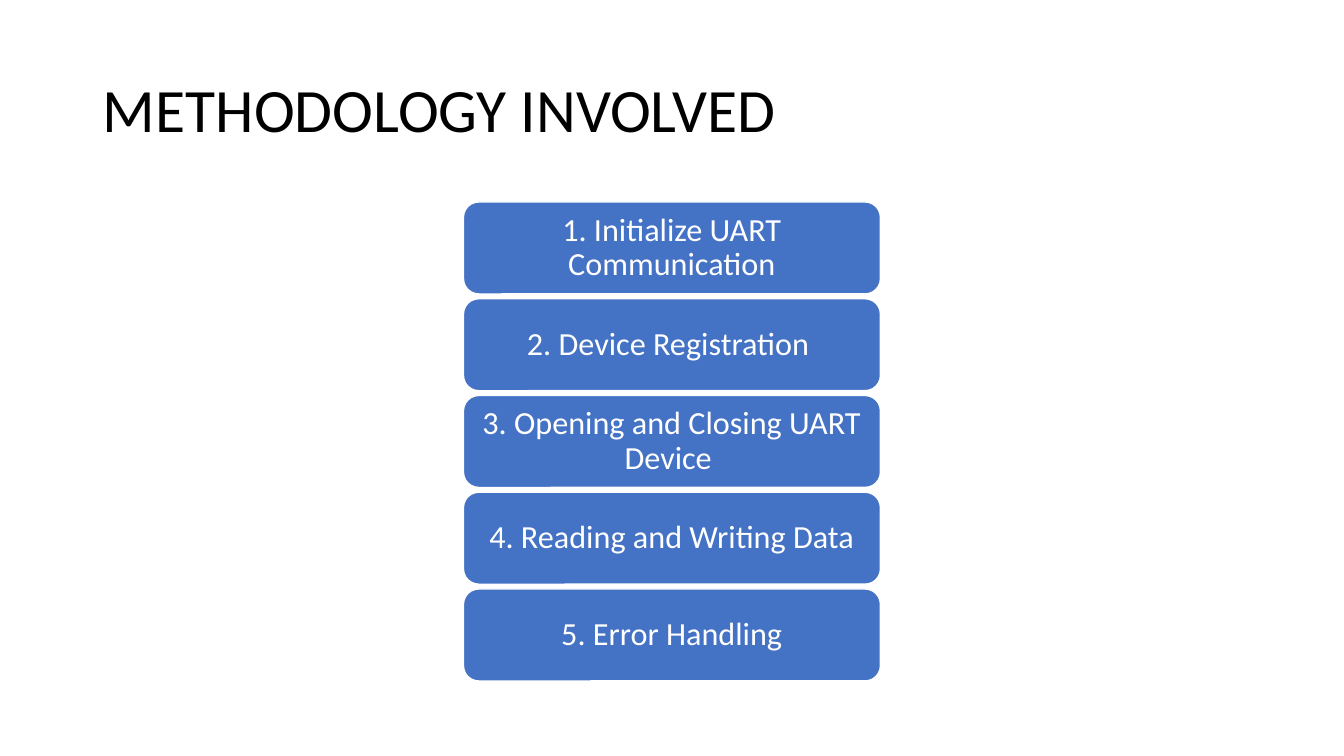
import pptx
import pptx.util
import pptx.dml.color
import pptx.enum.shapes
import pptx.enum.text

TITLE = "METHODOLOGY INVOLVED"
STEPS = [
    "1. Initialize UART Communication",
    "2. Device Registration ",
    "3. Opening and Closing UART Device ",
    "4. Reading and Writing Data",
    "5. Error Handling",
]
FONT = "Calibri"
BLACK, WHITE, BLUE = "000000", "FFFFFF", "4472C4"

# Lengths in px
WIDE, HIGH = 1344, 756
HEAD = (93, 40, 1159, 146)
BOX_W, BOX_H = 417, 92
FIRST, LAST = 202, 589  # tops of the first and last box
PAD_X, PAD_Y = 10, 5

ALIGN = pptx.enum.text.PP_ALIGN


def px(num):
    return pptx.util.Emu(round(num * 914400 / 100.8))


def tint(code):
    return pptx.dml.color.RGBColor.from_string(code)


def write(shape, text, size, color, align):
    frame = shape.text_frame
    frame.text = text
    frame.word_wrap = True
    frame.auto_size = pptx.enum.text.MSO_AUTO_SIZE.NONE
    frame.vertical_anchor = pptx.enum.text.MSO_ANCHOR.MIDDLE
    frame.margin_left = frame.margin_right = px(PAD_X)
    frame.margin_top = frame.margin_bottom = px(PAD_Y)
    para = frame.paragraphs[0]
    para.alignment = align
    para.line_spacing = 0.9
    font = para.runs[0].font
    font.name = FONT
    font.size = pptx.util.Pt(size)
    font.color.rgb = tint(color)


def add_step(slide, text, top):
    left = (WIDE - BOX_W) / 2
    box = slide.shapes.add_shape(
        pptx.enum.shapes.MSO_SHAPE.ROUNDED_RECTANGLE,
        px(left), px(top), px(BOX_W), px(BOX_H))
    box.shadow.inherit = False
    box.fill.solid()
    box.fill.fore_color.rgb = tint(BLUE)
    box.line.color.rgb = tint(WHITE)
    box.line.width = pptx.util.Pt(1)
    write(box, text, 23, WHITE, ALIGN.CENTER)


def main():
    deck = pptx.Presentation()
    deck.slide_width, deck.slide_height = px(WIDE), px(HIGH)
    slide = deck.slides.add_slide(deck.slide_layouts[5])

    title = slide.shapes.title
    title.left, title.top, title.width, title.height = map(px, HEAD)
    write(title, TITLE, 44, BLACK, ALIGN.LEFT)

    pitch = (LAST - FIRST) / (len(STEPS) - 1)
    for row, text in enumerate(STEPS):
        add_step(slide, text, FIRST + row * pitch)

    deck.save("out.pptx")


if __name__ == "__main__":
    main()
